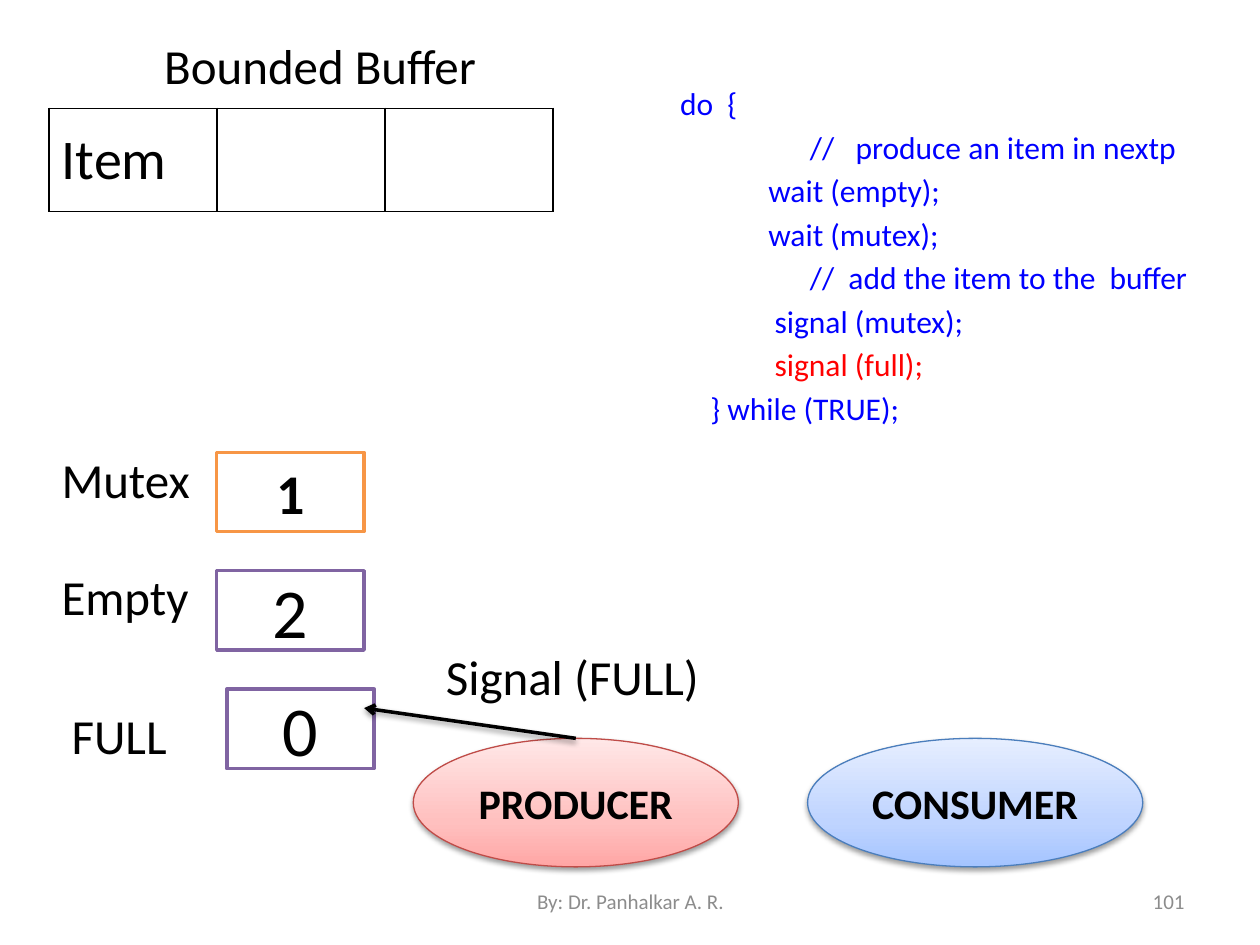
from lxml.etree import SubElement
from pptx import Presentation
from pptx.dml.color import RGBColor
from pptx.enum.shapes import MSO_CONNECTOR as Link, MSO_SHAPE as Shape
from pptx.enum.text import MSO_ANCHOR as Anchor, PP_ALIGN as Align
from pptx.oxml.ns import qn
from pptx.util import Emu, Pt

PX = 9144  # EMU per px, 100 px to the inch
FONT = "Calibri"
HEX = {
    "black": "000000", "white": "FFFFFF", "blue": "0000FF", "red": "FF0000",
    "grey": "8C8C8C", "orange": "F79646", "purple": "8064A2",
    "rose": "BF4C48", "steel": "4B7EBC",
}
ROSE = ((0, "FFA6A5"), (35, "FFC0BF"), (100, "FFE7E7"))
STEEL = ((0, "A4C4FF"), (35, "BFD4FF"), (100, "E6EEFF"))


def px(*vals):
    return [Emu(v * PX) for v in vals]


def rgb(name):
    return RGBColor.from_string(HEX[name])


def add(parent, tag, **attrs):
    return SubElement(parent, qn(tag), {k: str(v) for k, v in attrs.items()})


class Deck:
    def __init__(self, wide, high):
        self.prs = Presentation()
        self.prs.slide_width, self.prs.slide_height = px(wide, high)
        self.slide = self.prs.slides.add_slide(self.prs.slide_layouts[5])
        self.shapes = self.slide.shapes

    def run(self, para, text, size, color="black", bold=False):
        run = para.add_run()
        run.text = text
        font = run.font
        font.name, font.size, font.bold = FONT, Pt(size), bold
        font.color.rgb = rgb(color)

    def put(self, frame, text, size, color="black", bold=False,
            align=Align.LEFT, anchor=Anchor.TOP):
        frame.word_wrap = True
        frame.vertical_anchor = anchor
        para = frame.paragraphs[0]
        para.alignment = align
        self.run(para, text, size, color, bold)

    def title(self, text, box):
        head = self.shapes.title
        head.left, head.top, head.width, head.height = px(*box)
        self.put(head.text_frame, text, 28, align=Align.CENTER)

    def label(self, text, box, size=28, **style):
        frame = self.shapes.add_textbox(*px(*box)).text_frame
        self.put(frame, text, size, **style)

    def code(self, rows, box):
        frame = self.shapes.add_textbox(*px(*box)).text_frame
        frame.word_wrap = True
        for i, (indent, text, color) in enumerate(rows):
            para = frame.add_paragraph() if i else frame.paragraphs[0]
            para.space_before = Pt(3.25)
            para._p.get_or_add_pPr().set("marL", str(indent * PX))
            self.run(para, text, 18, color)

    def shade(self, shape):
        props = shape._element.spPr
        old = props.find(qn("a:effectLst"))
        fx = add(props, "a:effectLst") if old is None else old
        drop = add(fx, "a:outerShdw", blurRad=39370, dist=20320,
                   dir=5400000, rotWithShape=0)
        tint = add(drop, "a:srgbClr", val=HEX["black"])
        add(tint, "a:alpha", val=38000)

    def shape(self, kind, box, line, width):
        shape = self.shapes.add_shape(kind, *px(*box))
        shape.shadow.inherit = False
        shape.line.color.rgb = rgb(line)
        shape.line.width = Pt(width)
        return shape

    def count(self, text, box, line, size, bold=False):
        shape = self.shape(Shape.RECTANGLE, box, line, 2)
        shape.fill.solid()
        shape.fill.fore_color.rgb = rgb("white")
        self.put(shape.text_frame, text, size, bold=bold,
                 align=Align.CENTER, anchor=Anchor.MIDDLE)

    def oval(self, text, box, line, stops):
        shape = self.shape(Shape.OVAL, box, line, 0.75)
        shape.fill.gradient()
        shape.fill.gradient_angle = 90
        group = shape._element.spPr.find(".//" + qn("a:gsLst"))
        for old in list(group):
            group.remove(old)
        for pos, color in stops:
            add(add(group, "a:gs", pos=pos * 1000), "a:srgbClr", val=color)
        self.shade(shape)
        self.put(shape.text_frame, text, 24, bold=True,
                 align=Align.CENTER, anchor=Anchor.MIDDLE)

    def arrow(self, start, end):
        line = self.shapes.add_connector(Link.STRAIGHT, *px(*start, *end))
        line.line.color.rgb = rgb("black")
        line.line.width = Pt(2)
        add(line.line._get_or_add_ln(), "a:tailEnd", type="arrow")
        self.shade(line)

    def table(self, texts, box):
        table = self.shapes.add_table(1, len(texts), *px(*box)).table
        table.first_row = table.horz_banding = False
        for cell, text in zip(table.rows[0].cells, texts):
            props = cell._tc.get_or_add_tcPr()
            for side in "LRTB":
                edge = add(props, "a:ln" + side, w=Pt(1))
                add(add(edge, "a:solidFill"), "a:srgbClr", val=HEX["black"])
            cell.fill.background()
            cell.vertical_anchor = Anchor.MIDDLE
            if text:
                self.run(cell.text_frame.paragraphs[0], text, 32)


def main():
    deck = Deck(1000, 750)

    # Buffer
    deck.title("Bounded Buffer", (47, 23, 414, 57))
    deck.table(["Item", "", ""], (39, 86, 400, 82))

    # Semaphores
    for name, spot, value, left, top, line, size in (
        ("Mutex", (39, 352, 133, 57), "1", 172, 359, "orange", 32),
        ("Empty", (39, 445, 203, 57), "2", 172, 453, "purple", 40),
        ("FULL", (47, 555, 203, 57), "0", 180, 547, "purple", 40),
    ):
        deck.label(name, spot)
        deck.count(value, (left, top, 117, 63), line, size, name == "Mutex")

    # Processes and the signal
    deck.oval("PRODUCER", (328, 586, 258, 102), "rose", ROSE)
    deck.oval("CONSUMER", (641, 586, 266, 102), "steel", STEEL)
    deck.arrow((457, 586), (289, 562))
    deck.label("Signal (FULL)", (344, 508, 320, 57))

    # Producer code: indent, text, colour
    deck.code((
        (38, "do  {", "blue"),
        (141, "//   produce an item in nextp", "blue"),
        (108, "wait (empty);", "blue"),
        (108, "wait (mutex);", "blue"),
        (141, "//  add the item to the  buffer", "blue"),
        (113, "signal (mutex);", "blue"),
        (113, "signal (full);", "red"),
        (62, "} while (TRUE);", "blue"),
    ), (492, 62, 484, 344))

    # Footer
    foot = {"size": 12, "color": "grey", "anchor": Anchor.MIDDLE}
    deck.label("By: Dr. Panhalkar A. R.", (342, 695, 317, 40),
               align=Align.CENTER, **foot)
    deck.label("101", (717, 695, 233, 40), align=Align.RIGHT, **foot)

    deck.prs.save("out.pptx")


if __name__ == "__main__":
    main()
